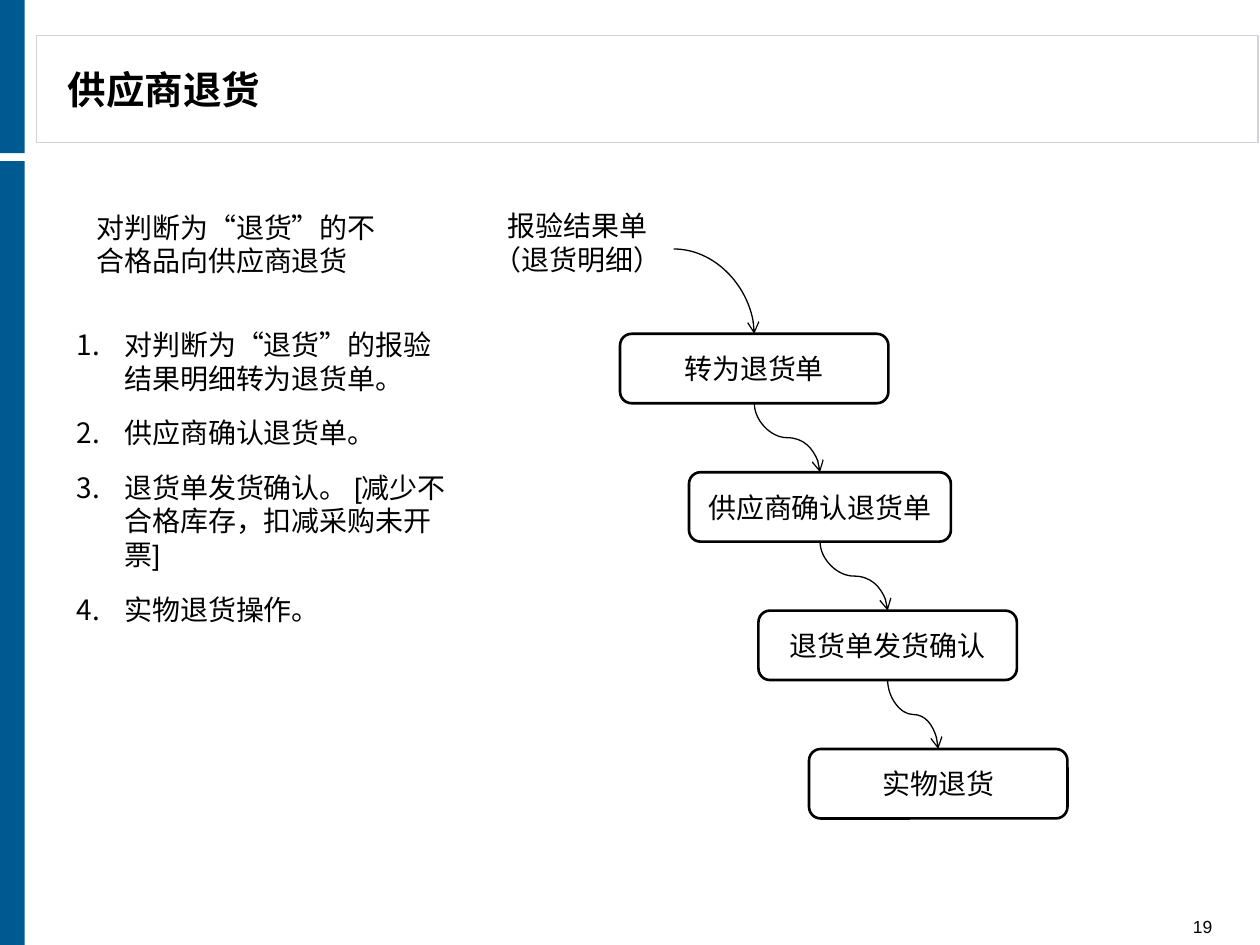
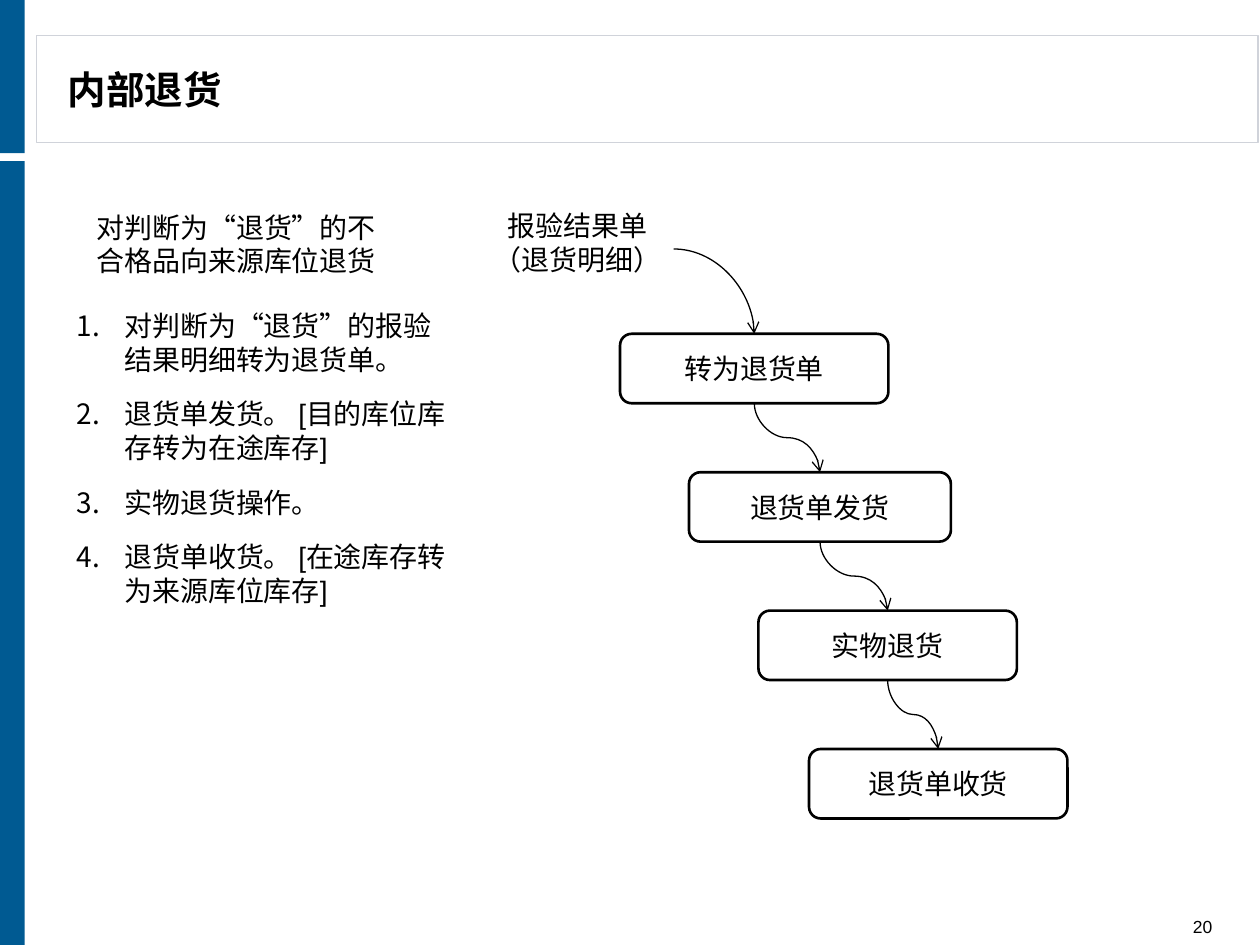
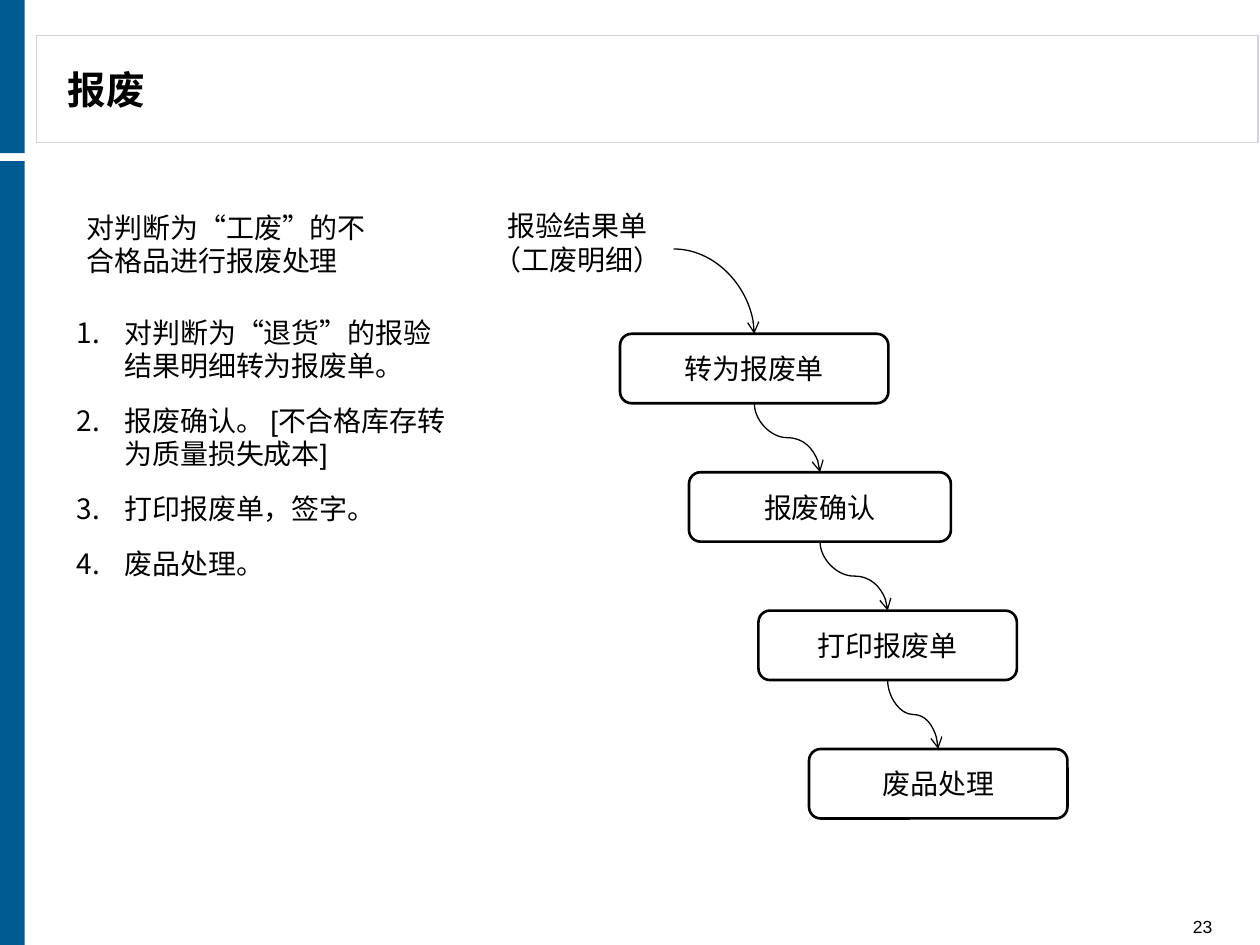
from lxml import etree
from pptx import Presentation
from pptx.dml.color import RGBColor
from pptx.enum.shapes import MSO_CONNECTOR, MSO_SHAPE
from pptx.enum.text import MSO_ANCHOR, MSO_AUTO_SIZE, PP_ALIGN
from pptx.oxml.ns import qn
from pptx.util import Cm, Pt

RECT = MSO_SHAPE.RECTANGLE
ROUNDED = MSO_SHAPE.ROUNDED_RECTANGLE
DOCUMENT = MSO_SHAPE.FLOWCHART_DOCUMENT
CURVE = MSO_CONNECTOR.CURVE
LEFT, CENTER, RIGHT = PP_ALIGN.LEFT, PP_ALIGN.CENTER, PP_ALIGN.RIGHT
MIDDLE, BOTTOM = MSO_ANCHOR.MIDDLE, MSO_ANCHOR.BOTTOM

BLUE = RGBColor(0x00, 0x5A, 0x92)
GREY = RGBColor(0xD0, 0xD3, 0xDA)
BLACK = RGBColor(0x00, 0x00, 0x00)
WHITE = RGBColor(0xFF, 0xFF, 0xFF)
FONT = "Arial"

# Connection sites shared by the rounded box and the document shape
TOP_SITE, BOTTOM_SITE, RIGHT_SITE = 0, 2, 3

# Staircase of process steps: left and width of each, in cm
STEP_SPANS = [(12.5, 5.41), (13.89, 5.28), (15.29, 5.21), (16.31, 5.21)]
STEP_TOP, STEP_PITCH, STEP_HEIGHT = 6.73, 2.79, 1.4

PAGES = [
    {
        "title": "供应商退货",
        "number": "19",
        "intro": "对判断为“退货”的不合格品向供应商退货",
        "intro_left": 1.7,
        "source": "报验结果单（退货明细）",
        "list_top": 5.92,
        "notes": [
            "对判断为“退货”的报验结果明细转为退货单。",
            "供应商确认退货单。",
            "退货单发货确认。 [减少不合格库存，扣减采购未开票]",
            "实物退货操作。",
        ],
        "steps": ["转为退货单", "供应商确认退货单", "退货单发货确认", "实物退货"],
    },
    {
        "title": "内部退货",
        "number": "20",
        "intro": "对判断为“退货”的不合格品向来源库位退货",
        "intro_left": 1.7,
        "source": "报验结果单（退货明细）",
        "list_top": 5.54,
        "notes": [
            "对判断为“退货”的报验结果明细转为退货单。",
            "退货单发货。 [目的库位库存转为在途库存]",
            "实物退货操作。",
            "退货单收货。 [在途库存转为来源库位库存]",
        ],
        "steps": ["转为退货单", "退货单发货", "实物退货", "退货单收货"],
    },
    {
        "title": "报废",
        "number": "23",
        "intro": "对判断为“工废”的不合格品进行报废处理",
        "intro_left": 1.5,
        "source": "报验结果单（工废明细）",
        "list_top": 5.33,
        "notes": [
            "对判断为“退货”的报验结果明细转为报废单。",
            "报废确认。 [不合格库存转为质量损失成本]",
            "打印报废单，签字。",
            "废品处理。",
        ],
        "steps": ["转为报废单", "报废确认", "打印报废单", "废品处理"],
    },
]


def add_block(slide, kind, left, top, width, height, fill=WHITE, line=None, weight=0.75):
    block = slide.shapes.add_shape(kind, Cm(left), Cm(top), Cm(width), Cm(height))
    block.shadow.inherit = False
    block.fill.solid()
    block.fill.fore_color.rgb = fill
    if line is None:
        block.line.fill.background()
    else:
        block.line.color.rgb = line
        block.line.width = Pt(weight)
    return block


def write(shape, text, size=16, align=LEFT, anchor=MIDDLE, bold=False):
    frame = shape.text_frame
    frame.text = text
    frame.word_wrap = True
    frame.vertical_anchor = anchor
    frame.margin_left = frame.margin_right = Cm(0.25)
    frame.margin_top = frame.margin_bottom = 0
    for paragraph in frame.paragraphs:
        paragraph.alignment = align
        for run in paragraph.runs:
            run.font.name = FONT
            run.font.size = Pt(size)
            run.font.bold = bold
            run.font.color.rgb = BLACK
    return frame


prs = Presentation()
prs.slide_width = Cm(25.4)
prs.slide_height = Cm(19.05)
blank = prs.slide_layouts[6]

for page in PAGES:
    slide = prs.slides.add_slide(blank)

    # Title frame and side bands
    add_block(slide, RECT, 0.74, 0.72, 24.62, 2.16, line=GREY)
    add_block(slide, RECT, 0, 3.25, 0.5, 15.8, fill=BLUE)
    add_block(slide, RECT, 0, 0, 0.5, 3.09, fill=BLUE)

    # Title and page number
    title = slide.shapes.add_textbox(Cm(1.12), Cm(0.79), Cm(16), Cm(2))
    write(title, page["title"], size=22, bold=True)
    number = slide.shapes.add_textbox(Cm(22.3), Cm(18.44), Cm(2.39), Cm(0.46))
    write(number, page["number"], size=10, align=RIGHT, anchor=BOTTOM)

    # Source document and process steps
    source = add_block(slide, DOCUMENT, 9.7, 4.32, 3.88, 1.4)
    write(source, page["source"], align=CENTER)
    flow = [source]
    for row, (label, (left, width)) in enumerate(zip(page["steps"], STEP_SPANS)):
        step = add_block(slide, ROUNDED, left, STEP_TOP + row * STEP_PITCH,
                         width, STEP_HEIGHT, line=BLACK, weight=1.5)
        write(step, label, align=CENTER)
        flow.append(step)

    # Curved arrows from each part of the flow to the next
    for start, end in zip(flow, flow[1:]):
        arrow = slide.shapes.add_connector(CURVE, 0, 0, 0, 0)
        arrow.begin_connect(start, RIGHT_SITE if start is source else BOTTOM_SITE)
        arrow.end_connect(end, TOP_SITE)
        arrow.line.color.rgb = BLACK
        arrow.line.width = Pt(0.75)
        properties = arrow.line._get_or_add_ln().getparent()
        if start is source:
            properties.find(qn("a:prstGeom")).set("prst", "curvedConnector2")
        else:
            # Leave downwards: a quarter turn with sides swapped about the centre
            run, drop = arrow.width, arrow.height
            arrow.left += (run - drop) // 2
            arrow.top += (drop - run) // 2
            arrow.width, arrow.height = drop, run
            turn = properties.find(qn("a:xfrm"))
            turn.set("rot", "16200000")
            turn.set("flipH", "1")
        etree.SubElement(properties.find(qn("a:ln")), qn("a:tailEnd"), type="arrow")
        etree.SubElement(properties, qn("a:effectLst"))

    # Numbered notes
    notes = add_block(slide, DOCUMENT, 1.3, page["list_top"], 8, 9.2)
    for paragraph in write(notes, "\n".join(page["notes"])).paragraphs:
        paragraph.space_before = paragraph.space_after = Pt(6)
        indent = paragraph._p.get_or_add_pPr()
        indent.set("marL", str(Cm(0.96)))
        indent.set("indent", str(-Cm(0.96)))
        etree.SubElement(indent, qn("a:buFont"), typeface=FONT)
        etree.SubElement(indent, qn("a:buAutoNum"), type="arabicPeriod")

    # Introduction
    intro = slide.shapes.add_textbox(Cm(page["intro_left"]), Cm(4.11), Cm(6.35), Cm(1.62))
    intro_frame = write(intro, page["intro"], anchor=MSO_ANCHOR.TOP)
    intro_frame.margin_top = intro_frame.margin_bottom = Cm(0.13)
    intro_frame.auto_size = MSO_AUTO_SIZE.SHAPE_TO_FIT_TEXT

prs.save("out.pptx")
